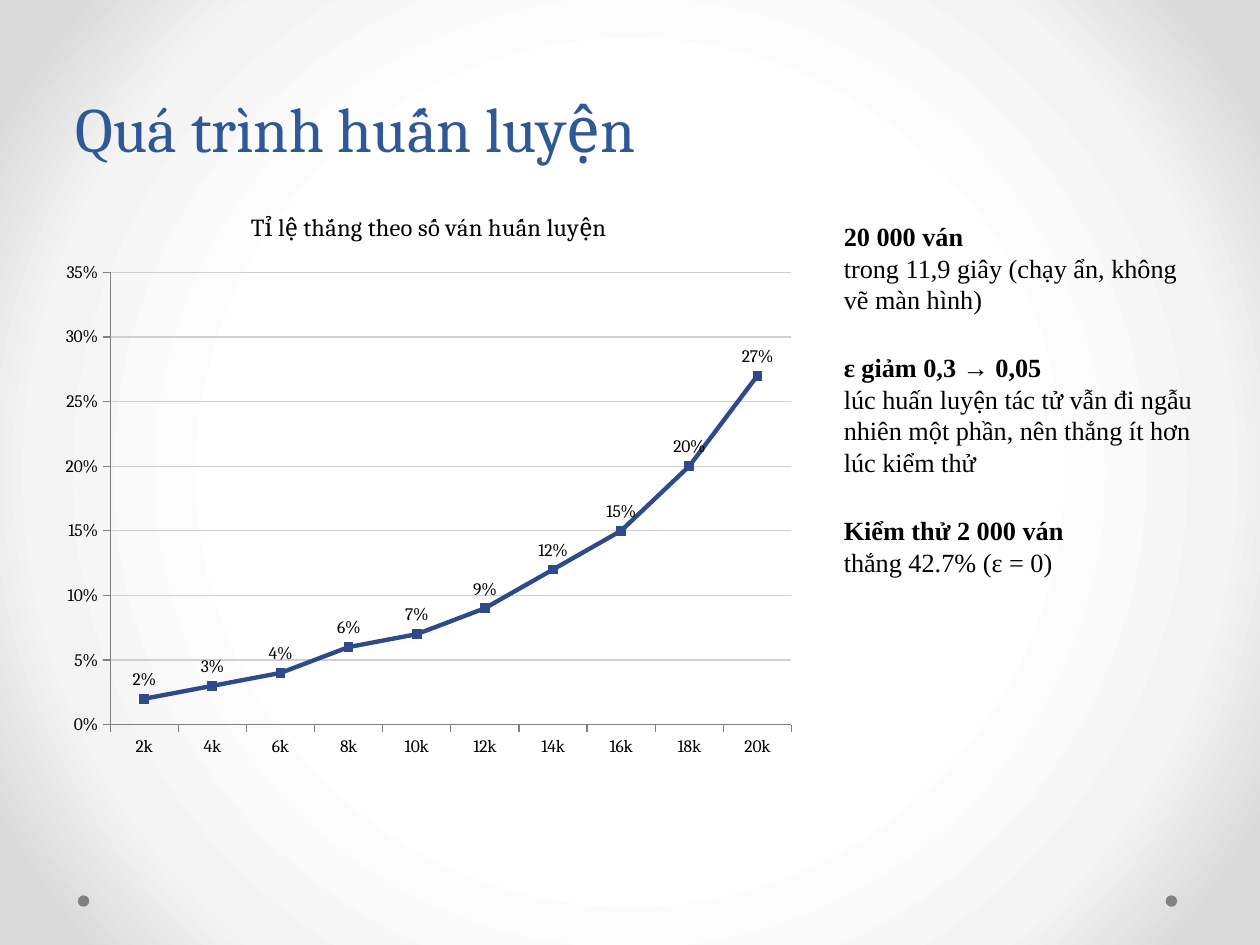
from lxml.etree import fromstring
from pptx import Presentation
from pptx.chart.data import CategoryChartData
from pptx.dml.color import RGBColor
from pptx.enum.chart import XL_CHART_TYPE, XL_LABEL_POSITION, XL_MARKER_STYLE, XL_TICK_MARK
from pptx.enum.shapes import MSO_SHAPE
from pptx.enum.text import MSO_ANCHOR, MSO_AUTO_SIZE, PP_ALIGN
from pptx.util import Cm, Pt

TITLE = "Quá trình huấn luyện"
CHART_TITLE = "Tỉ lệ thắng theo số ván huấn luyện"
WIN_RATES = {
    "2k": 0.02, "4k": 0.03, "6k": 0.04, "8k": 0.06, "10k": 0.07,
    "12k": 0.09, "14k": 0.12, "16k": 0.15, "18k": 0.2, "20k": 0.27,
}
NOTES = [
    ("20 000 ván", "trong 11,9 giây (chạy ẩn, không vẽ màn hình)"),
    ("ε giảm 0,3 → 0,05",
     "lúc huấn luyện tác tử vẫn đi ngẫu nhiên một phần, nên thắng ít hơn lúc kiểm thử"),
    ("Kiểm thử 2 000 ván", "thắng 42.7% (ε = 0)"),
]
BACKDROP = [(50, "FFFFFF"), (76, "F4F4F4"), (92, "DADADA")]
HEADING_FONT, BODY_FONT = "Cambria", "Times New Roman"
TITLE_BLUE, LINE_BLUE, BLACK, GREY, GRID = "2F5897", "2E4A8B", "000000", "808080", "D0D0D0"
A_NS = "http://schemas.openxmlformats.org/drawingml/2006/main"


def rgb(code):
    """Turn a hex string into a colour."""
    return RGBColor.from_string(code)


def style(font, name, size, color=BLACK, bold=False):
    """Set the face, size, colour and weight of a font."""
    font.name, font.size, font.bold = name, Pt(size), bold
    font.color.rgb = rgb(color)


def paint_background(s):
    """Give the slide a circular gradient."""
    fill = s.background.fill
    fill.gradient()
    stops = "".join(f'<a:gs pos="{pos * 1000}"><a:srgbClr val="{color}"/></a:gs>'
                    for pos, color in BACKDROP)
    grad = fromstring(
        f'<a:gradFill xmlns:a="{A_NS}" rotWithShape="1"><a:gsLst>{stops}</a:gsLst>'
        '<a:path path="circle"><a:fillToRect l="50000" t="50000" r="50000" b="50000"/>'
        '</a:path></a:gradFill>')
    old = s.background._cSld.find(f".//{{{A_NS}}}gradFill")
    old.getparent().replace(old, grad)


def add_dots(s):
    """Place the two footer dots."""
    for left in (1.57, 23.5):
        dot = s.shapes.add_shape(MSO_SHAPE.OVAL, Cm(left), Cm(18.05), Cm(0.23), Cm(0.23))
        dot.shadow.inherit = False
        dot.fill.solid()
        dot.fill.fore_color.rgb = rgb(GREY)
        dot.line.fill.background()


def set_title(s):
    """Position and format the title placeholder."""
    sp = s.shapes.title
    sp.left, sp.top, sp.width, sp.height = Cm(1.27), Cm(0.91), Cm(22.86), Cm(2.54)
    tf = sp.text_frame
    tf.text = TITLE
    tf.auto_size = MSO_AUTO_SIZE.NONE
    tf.vertical_anchor = MSO_ANCHOR.BOTTOM
    p = tf.paragraphs[0]
    p.alignment, p.line_spacing = PP_ALIGN.LEFT, Pt(58)
    style(p.font, HEADING_FONT, 36, TITLE_BLUE)


def add_win_chart(s):
    """Draw the win rate as a marked line."""
    data = CategoryChartData(number_format="0%")
    data.categories = list(WIN_RATES)
    data.add_series("Series 1", list(WIN_RATES.values()))
    chart = s.shapes.add_chart(XL_CHART_TYPE.LINE_MARKERS, Cm(1.02), Cm(3.81),
                               Cm(15.24), Cm(11.68), data).chart
    style(chart.font, HEADING_FONT, 18)
    chart.has_legend = False
    chart.has_title = True
    tf = chart.chart_title.text_frame
    tf.text = CHART_TITLE
    style(tf.paragraphs[0].font, HEADING_FONT, 14)

    for axis in (chart.category_axis, chart.value_axis):
        axis.major_tick_mark = XL_TICK_MARK.OUTSIDE
        axis.minor_tick_mark = XL_TICK_MARK.NONE
        axis.format.line.color.rgb = rgb(GREY)
        style(axis.tick_labels.font, HEADING_FONT, 10)
    axis = chart.value_axis
    axis.minimum_scale, axis.maximum_scale, axis.major_unit = 0, 0.35, 0.05
    axis.tick_labels.number_format = "0%"
    axis.tick_labels.number_format_is_linked = False
    grid = axis.major_gridlines.format.line
    grid.color.rgb, grid.width = rgb(GRID), Pt(0.75)

    plot = chart.plots[0]
    plot.vary_by_categories = False
    series = plot.series[0]
    series.smooth = False
    series.format.line.color.rgb, series.format.line.width = rgb(LINE_BLUE), Pt(2.5)
    marker = series.marker
    marker.style, marker.size = XL_MARKER_STYLE.SQUARE, 5
    marker.format.fill.solid()
    marker.format.fill.fore_color.rgb = rgb(LINE_BLUE)
    marker.format.line.color.rgb = rgb(LINE_BLUE)
    labels = series.data_labels
    labels.show_value = True
    labels.position = XL_LABEL_POSITION.ABOVE
    labels.number_format, labels.number_format_is_linked = "0%", False
    style(labels.font, HEADING_FONT, 10)


def add_notes(s):
    """Write the headed remarks beside the chart."""
    tf = s.shapes.add_textbox(Cm(16.76), Cm(4.32), Cm(7.62), Cm(11.18)).text_frame
    tf.word_wrap = True
    for i, note in enumerate(NOTES):
        for text, bold in zip(note, (True, False)):
            p = tf.add_paragraph() if tf.text else tf.paragraphs[0]
            p.text = text
            p.line_spacing = Pt(18)
            if bold and i:
                p.space_before = Pt(21)
            style(p.font, BODY_FONT, 15, bold=bold)


def main():
    """Build and save the slide."""
    prs = Presentation()
    prs.slide_width, prs.slide_height = Cm(25.4), Cm(19.05)
    s = prs.slides.add_slide(prs.slide_layouts[5])
    paint_background(s)
    add_dots(s)
    set_title(s)
    add_win_chart(s)
    add_notes(s)
    prs.save("out.pptx")


if __name__ == "__main__":
    main()
